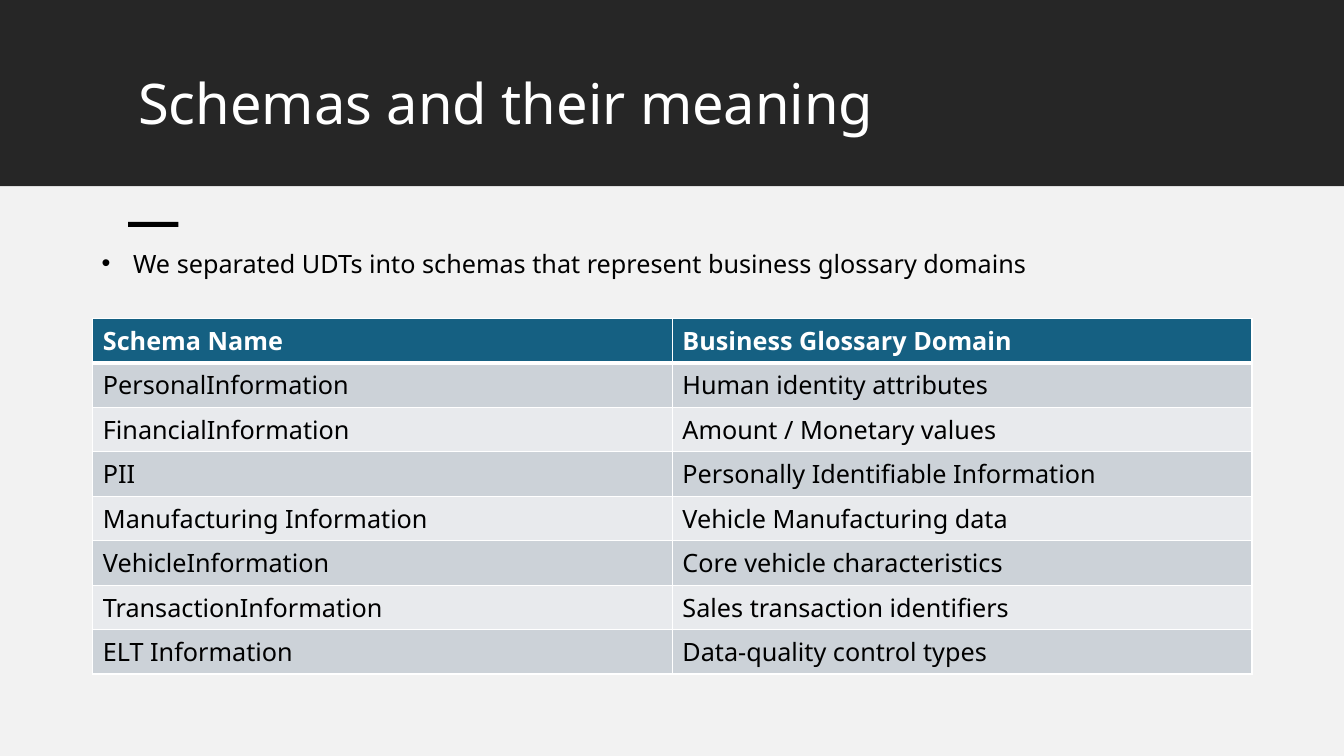
import dataclasses

import pptx
import pptx.dml.color
import pptx.enum.shapes
import pptx.enum.text
import pptx.oxml
import pptx.util
from pptx.util import Cm


@dataclasses.dataclass(frozen=True)
class Theme:
    font: str = "Noto Sans"
    title_size: int = 40
    text_size: int = 18
    white: str = "FFFFFF"
    black: str = "000000"
    band: str = "262626"
    panel: str = "F2F2F2"
    header: str = "156082"
    stripes: tuple = ("CCD2D8", "E8EAED")


THEME = Theme()

BULLET = "We separated UDTs into schemas that represent business glossary domains"
SCHEMAS = [
    ("Schema Name", "Business Glossary Domain"),
    ("PersonalInformation", "Human identity attributes"),
    ("FinancialInformation", "Amount / Monetary values"),
    ("PII", "Personally Identifiable Information"),
    ("Manufacturing Information", "Vehicle Manufacturing data"),
    ("VehicleInformation", "Core vehicle characteristics"),
    ("TransactionInformation", "Sales transaction identifiers"),
    ("ELT Information", "Data-quality control types"),
]


def color(value):
    return pptx.dml.color.RGBColor.from_string(value)


def write_text(text_frame, text, size, text_color, bold=False):
    text_frame.text = text
    paragraph = text_frame.paragraphs[0]
    font = paragraph.runs[0].font
    font.name = THEME.font
    font.size = pptx.util.Pt(size)
    font.bold = bold
    font.color.rgb = color(text_color)
    return paragraph


def add_rectangle(slide, left, top, width, height, fill):
    shape = slide.shapes.add_shape(
        pptx.enum.shapes.MSO_SHAPE.RECTANGLE, Cm(left), Cm(top), Cm(width), Cm(height))
    shape.shadow.inherit = False
    shape.fill.solid()
    shape.fill.fore_color.rgb = color(fill)
    shape.line.fill.background()
    return shape


def fill_placeholder(placeholder, left, top, width, height, text, size, text_color):
    placeholder.left, placeholder.top = Cm(left), Cm(top)
    placeholder.width, placeholder.height = Cm(width), Cm(height)
    text_frame = placeholder.text_frame
    text_frame.word_wrap = True
    text_frame.auto_size = pptx.enum.text.MSO_AUTO_SIZE.NONE
    text_frame.vertical_anchor = pptx.enum.text.MSO_ANCHOR.TOP
    paragraph = write_text(text_frame, text, size, text_color)
    paragraph.alignment = pptx.enum.text.PP_ALIGN.LEFT
    paragraph.space_before = pptx.util.Pt(0)
    return paragraph


def add_header(slide, left, top, width, height):
    band = add_rectangle(slide, left, top, width, height, THEME.band)
    title = slide.shapes.title
    title.element.addprevious(band.element)
    paragraph = fill_placeholder(
        title, left + 3.23, top + 1.81, 27.46, 2.49,
        "Schemas and their meaning", THEME.title_size, THEME.white)
    paragraph.line_spacing = 0.9


def add_bullet(slide, left, top, width, height):
    paragraph = fill_placeholder(
        slide.placeholders[1], left, top, width, height,
        BULLET, THEME.text_size, THEME.black)
    properties = paragraph._p.get_or_add_pPr()
    properties.set("marL", str(Cm(0.79)))
    properties.set("indent", str(-Cm(0.79)))


def set_borders(cell, bottom_width):
    properties = cell._tc.get_or_add_tcPr()
    widths = {"lnL": 1, "lnR": 1, "lnT": 1, "lnB": bottom_width}
    for position, (side, width) in enumerate(widths.items()):
        border = pptx.oxml.parse_xml(
            f'<a:{side} xmlns:a="http://schemas.openxmlformats.org/drawingml/2006/main" '
            f'w="{pptx.util.Pt(width)}"><a:solidFill><a:srgbClr val="{THEME.white}"/>'
            f'</a:solidFill></a:{side}>')
        properties.insert(position, border)


def add_schema_table(slide, left, top, width, height):
    table = slide.shapes.add_table(
        len(SCHEMAS), 2, Cm(left), Cm(top), Cm(width), Cm(height)).table
    for row_index, row in enumerate(SCHEMAS):
        is_header = row_index == 0
        fill = THEME.header if is_header else THEME.stripes[(row_index - 1) % 2]
        text_color = THEME.white if is_header else THEME.black
        for column_index, text in enumerate(row):
            cell = table.cell(row_index, column_index)
            cell.fill.solid()
            cell.fill.fore_color.rgb = color(fill)
            write_text(cell.text_frame, text, THEME.text_size, text_color, is_header)
            set_borders(cell, 3 if row_index < 1 else 1)


def add_content(slide, left, top, width, height):
    panel = add_rectangle(slide, left, top, width, height, THEME.panel)
    slide.placeholders[1].element.addprevious(panel.element)
    add_rectangle(slide, left + 3.23, top + 0.89, 1.27, 0.13, THEME.black)
    add_schema_table(slide, left + 2.34, top + 3.33, 29.21, 8.26)
    add_bullet(slide, left + 2.31, top + 1.42, 29.21, 1.02)


def main():
    presentation = pptx.Presentation()
    presentation.slide_width = Cm(33.87)
    presentation.slide_height = Cm(19.05)
    slide = presentation.slides.add_slide(presentation.slide_layouts[1])
    add_header(slide, 0, -0.03, 33.87, 4.73)
    add_content(slide, 0, 4.7, 33.87, 14.35)
    presentation.save("out.pptx")


if __name__ == "__main__":
    main()
